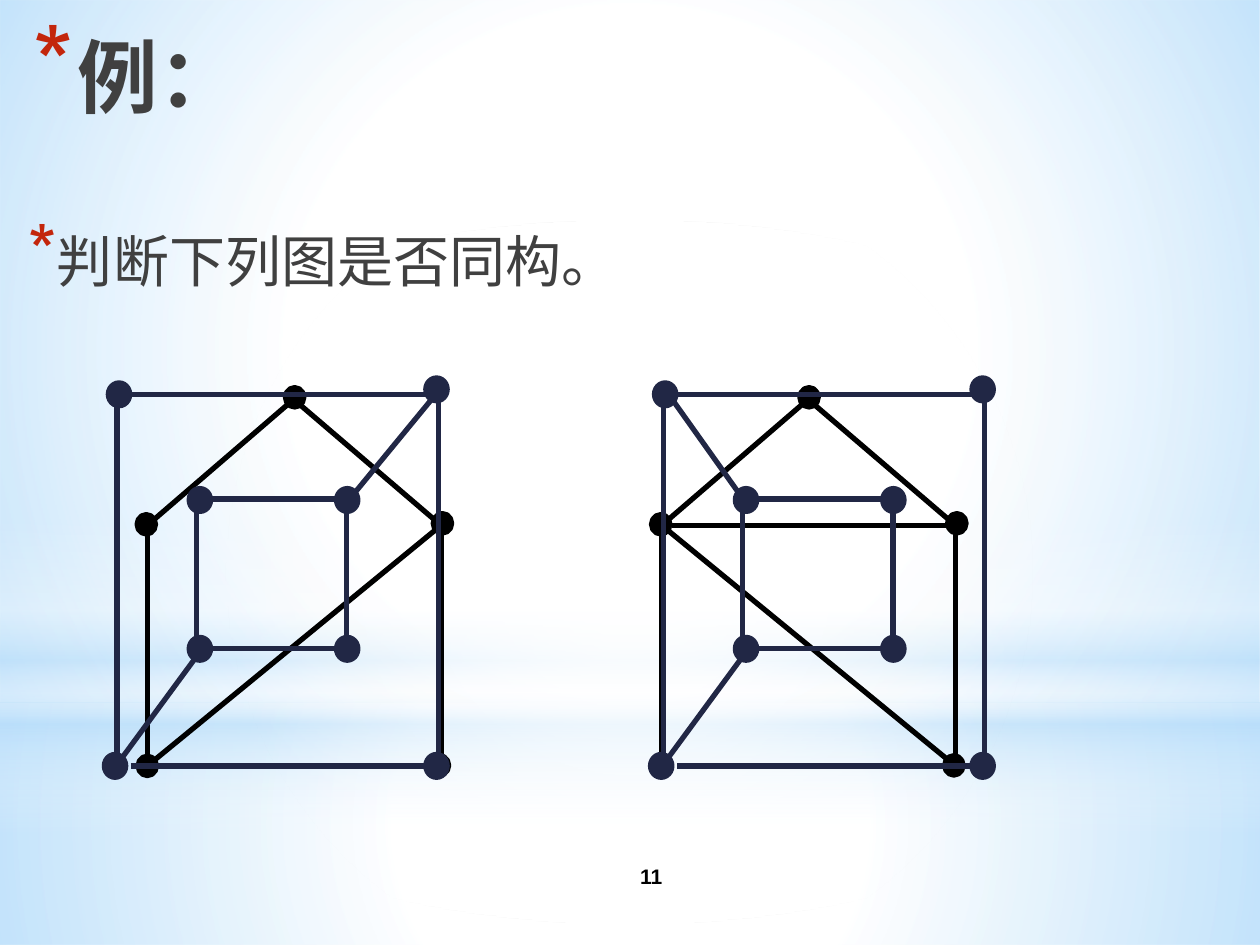
from lxml import etree
from pptx import Presentation
from pptx.dml.color import RGBColor
from pptx.enum.shapes import MSO_CONNECTOR, MSO_SHAPE
from pptx.enum.text import MSO_ANCHOR, PP_ALIGN
from pptx.oxml.ns import qn
from pptx.util import Cm, Pt

RECTANGLE, OVAL = MSO_SHAPE.RECTANGLE, MSO_SHAPE.OVAL
STRAIGHT = MSO_CONNECTOR.STRAIGHT
TOP, MIDDLE = MSO_ANCHOR.TOP, MSO_ANCHOR.MIDDLE
LEFT, CENTER = PP_ALIGN.LEFT, PP_ALIGN.CENTER

BLACK = RGBColor(0x00, 0x00, 0x00)
NAVY = RGBColor(0x21, 0x27, 0x45)
GREY = RGBColor(0x40, 0x40, 0x40)
RED = RGBColor(0xC3, 0x26, 0x0C)
WHITE = RGBColor(0xFF, 0xFF, 0xFF)
SKY = RGBColor(0xB4, 0xDC, 0xFA)

# Each stop: position %, colour, opacity %
BACKDROP = [
    (RECTANGLE, (0, 14.17, 25.4, 4.88), True,
     [(0, WHITE, 91), (37, WHITE, 76), (100, SKY, 79)]),
    (RECTANGLE, (0, 0, 25.4, 14.17), True,
     [(0, WHITE, 89), (48, WHITE, 62), (100, SKY, 79)]),
    (RECTANGLE, (0, 10.46, 25.4, 6.35), False,
     [(0, WHITE, 0), (29, WHITE, 30), (45, SKY, 40),
      (55, WHITE, 26), (65, SKY, 60), (100, WHITE, 0)]),
    (OVAL, (0, 4.45, 25.4, 14.17), True, [(0, WHITE, 100), (56, WHITE, 0)]),
]

TEXTS = [
    {"text": "11", "at": (10.59, 17.15, 5.08, 1.02), "size": 12, "font": "Arial",
     "color": BLACK, "bold": True, "align": CENTER, "anchor": MIDDLE},
    {"text": "例：", "at": (0.43, 0.43, 18.08, 3.18), "size": 46, "font": "Roboto",
     "color": GREY, "bold": True, "bullet": (0.89, 0.89, 128)},
    {"text": "判断下列图是否同构。", "at": (0.2, 4.45, 22.86, 2.34), "size": 32,
     "font": "Arial", "color": GREY, "bullet": (0.64, 0.51, 130)},
]

PENTAGON_SHIFT, CUBE_SHIFT = 10.37, 11.01

PENTAGON_DOTS = [(8.86, 15.43), (2.97, 15.44), (8.92, 10.55), (2.95, 10.57), (5.94, 8.01)]
PENTAGON_EDGES = [
    ((2.97, 15.67), (2.97, 10.36)),
    ((8.89, 10.59), (5.92, 8.05)),
    ((8.89, 10.59), (8.89, 15.44)),
    ((2.97, 10.59), (5.92, 8.05)),
]
LEFT_CHORDS = [((2.97, 15.44), (8.89, 10.59)), ((3.18, 15.44), (8.89, 15.44))]
RIGHT_CHORDS = [((8.89, 15.44), (2.97, 10.59)), ((3.18, 10.59), (8.89, 10.59))]

CUBE_DOTS = [(4.03, 10.08), (4.03, 13.08), (7, 13.08), (7, 10.08),
             (8.8, 15.44), (8.8, 7.85), (2.4, 7.95), (2.32, 15.44)]
CUBE_EDGES = [
    ((4.17, 12.95), (2.34, 15.44)),
    ((6.99, 10.31), (6.99, 12.88)),
    ((3.96, 10.29), (3.96, 12.85)),
    ((3.94, 10.06), (6.99, 10.06)),
    ((4.24, 13.08), (6.99, 13.08)),
    ((2.64, 7.95), (8.61, 7.95)),
    ((8.84, 8.08), (8.84, 15.44)),
    ((2.64, 15.44), (8.61, 15.44)),
    ((2.36, 8.08), (2.36, 15.44)),
]
LEFT_SPOKE = [((6.99, 10.13), (8.89, 7.82))]
RIGHT_SPOKE = [((4.04, 10.16), (2.54, 8.05))]

PENTAGON_DOT, CUBE_DOT = (0.37, 0.39), (0.43, 0.46)
GRAPHS = [
    (PENTAGON_EDGES + LEFT_CHORDS, PENTAGON_DOTS, PENTAGON_DOT, 0, BLACK),
    (PENTAGON_EDGES + RIGHT_CHORDS, PENTAGON_DOTS, PENTAGON_DOT, PENTAGON_SHIFT, BLACK),
    (CUBE_EDGES + LEFT_SPOKE, CUBE_DOTS, CUBE_DOT, 0, NAVY),
    (CUBE_EDGES + RIGHT_SPOKE, CUBE_DOTS, CUBE_DOT, CUBE_SHIFT, NAVY),
]


def add_element(parent, tag, **attributes):
    element = etree.SubElement(parent, qn(tag))
    for name, value in attributes.items():
        element.set(name, str(value))
    return element


def add_backdrop(page, kind, place, radial, stops):
    shape = page.shapes.add_shape(kind, *map(Cm, place))
    shape.shadow.inherit = False
    shape.line.fill.background()
    shape.fill.background()
    properties = shape.element.spPr
    gradient = etree.Element(qn("a:gradFill"), rotWithShape="1")
    stop_list = add_element(gradient, "a:gsLst")
    for position, color, opacity in stops:
        stop = add_element(stop_list, "a:gs", pos=position * 1000)
        tint = add_element(stop, "a:srgbClr", val=color)
        add_element(tint, "a:alpha", val=opacity * 1000)
    if radial:
        circle = add_element(gradient, "a:path", path="circle")
        add_element(circle, "a:fillToRect", l=50000, t=50000, r=50000, b=50000)
    else:
        add_element(gradient, "a:lin", ang=5400000, scaled=0)
    properties.replace(properties.find(qn("a:noFill")), gradient)


def add_text(page, item):
    box = page.shapes.add_textbox(*map(Cm, item["at"]))
    frame = box.text_frame
    frame.word_wrap = True
    frame.vertical_anchor = item.get("anchor", TOP)
    para = frame.paragraphs[0]
    para.text = item["text"]
    para.alignment = item.get("align", LEFT)
    if "bullet" in item:
        margin, hanging, percent = item["bullet"]
        properties = para._p.get_or_add_pPr()
        properties.set("marL", str(Cm(margin)))
        properties.set("indent", str(-Cm(hanging)))
        add_element(add_element(properties, "a:buClr"), "a:srgbClr", val=RED)
        add_element(properties, "a:buSzPct", val=percent * 1000)
        add_element(properties, "a:buChar", char="*")
    para.font.name = item["font"]
    para.font.size = Pt(item["size"])
    para.font.bold = item.get("bold", False)
    para.font.color.rgb = item["color"]


def add_graph(page, edges, dots, dot_size, shift, color):
    for (x1, y1), (x2, y2) in edges:
        edge = page.shapes.add_connector(
            STRAIGHT, Cm(x1 + shift), Cm(y1), Cm(x2 + shift), Cm(y2))
        edge.line.color.rgb = color
        edge.line.width = Pt(3)
        add_element(edge.element.spPr, "a:effectLst")
    width, height = dot_size
    for x, y in dots:
        dot = page.shapes.add_shape(
            OVAL, Cm(x + shift - width / 2), Cm(y - height / 2), Cm(width), Cm(height))
        dot.shadow.inherit = False
        dot.fill.solid()
        dot.fill.fore_color.rgb = color
        dot.line.color.rgb = color
        dot.line.width = Pt(3)


def main():
    deck = Presentation()
    deck.slide_width, deck.slide_height = Cm(25.4), Cm(19.05)
    page = deck.slides.add_slide(deck.slide_layouts[6])
    for layer in BACKDROP:
        add_backdrop(page, *layer)
    for item in TEXTS:
        add_text(page, item)
    for graph in GRAPHS:
        add_graph(page, *graph)
    deck.save("out.pptx")


if __name__ == "__main__":
    main()
